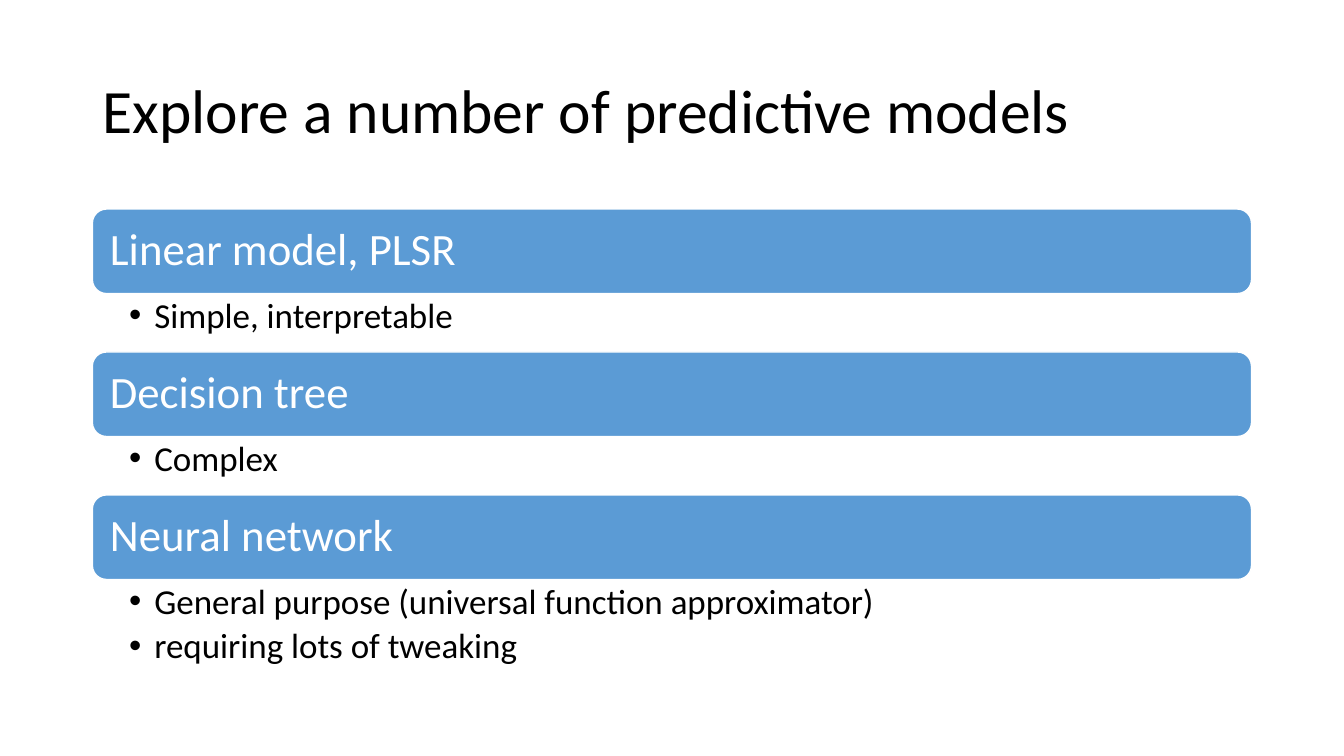
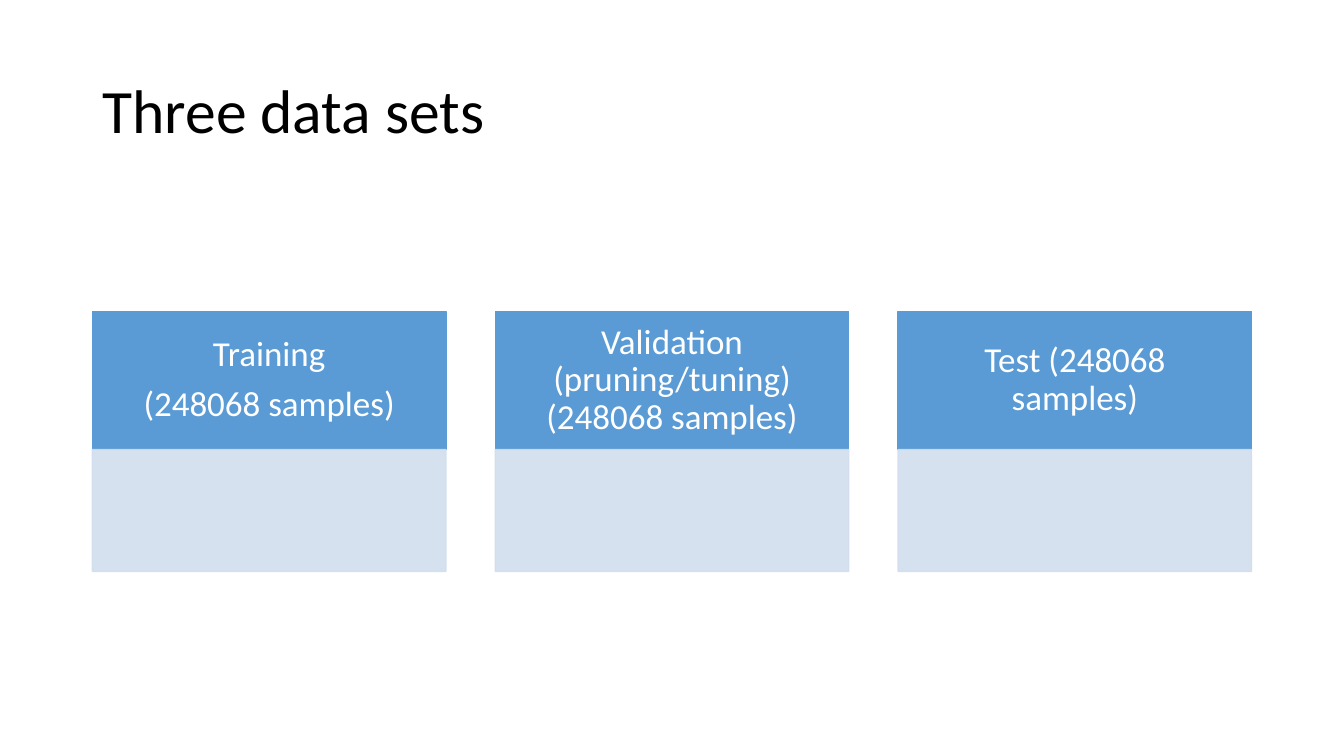
from pptx import Presentation
from pptx.dml.color import RGBColor
from pptx.enum.shapes import MSO_SHAPE
from pptx.enum.text import MSO_ANCHOR, MSO_AUTO_SIZE, PP_ALIGN
from pptx.oxml.ns import qn
from pptx.util import Pt
from lxml import etree

RECT, ROUND = MSO_SHAPE.RECTANGLE, MSO_SHAPE.ROUNDED_RECTANGLE
TOP, MIDDLE = MSO_ANCHOR.TOP, MSO_ANCHOR.MIDDLE
LEFT, CENTER = PP_ALIGN.LEFT, PP_ALIGN.CENTER
NO_FIT = MSO_AUTO_SIZE.NONE

# Content
MODELS_TITLE = "Explore a number of predictive models"
MODELS = [
    ("Linear model, PLSR", ["Simple, interpretable"]),
    ("Decision tree", ["Complex"]),
    ("Neural network", ["General purpose (universal function approximator)",
                        "requiring lots of tweaking"]),
]
SETS_TITLE = "Three data sets"
DATA_SETS = [
    ["Training", "(248068 samples)"],
    ["Validation (pruning/tuning) (248068 samples)"],
    ["Test (248068 samples)"],
]

# Shared style, lengths in points
FONT = "Calibri"
BLACK, WHITE, BLUE, PALE = "000000", "FFFFFF", "5B9BD5", "D2DEEF"
MARGIN, CONTENT_WIDTH = 66, 828
TITLE_TOP, TITLE_HEIGHT = 28.75, 104.4

# Model list
BAR_TOP, BAR_HEIGHT, BAR_PITCH = 149.3, 60.4, 102.1
NOTE_HEIGHT = BAR_PITCH - BAR_HEIGHT
NOTE_LINE = 26
BULLET_INDENT = 18

# Data set columns
COLUMN_WIDTH, COLUMN_TOP = 252.5, 222.5
HEAD_HEIGHT, BODY_HEIGHT = 98.6, 87
COLUMN_PITCH = (CONTENT_WIDTH - COLUMN_WIDTH) / (len(DATA_SETS) - 1)


def rgb(value):
    return RGBColor.from_string(value)


def write(frame, lines, size, color, align=LEFT, anchor=MIDDLE, insets=None, after=0):
    """Fill a text frame, one paragraph for each line."""
    frame.word_wrap = True
    frame.auto_size = NO_FIT
    frame.vertical_anchor = anchor
    if insets:
        side, edge = insets
        frame.margin_left = frame.margin_right = Pt(side)
        frame.margin_top = frame.margin_bottom = Pt(edge)
    frame.text = "\n".join(lines)
    for para in frame.paragraphs:
        para.alignment = align
        para.line_spacing = 0.9
        para.space_before = Pt(0)
        para.space_after = Pt(after)
        para.font.name = FONT
        para.font.size = Pt(size)
        para.font.color.rgb = rgb(color)


def add_bullets(frame):
    for para in frame.paragraphs:
        props = para._p.get_or_add_pPr()
        props.set("marL", str(Pt(BULLET_INDENT)))
        props.set("indent", str(-Pt(BULLET_INDENT)))
        etree.SubElement(props, qn("a:buFont")).set("typeface", "Arial")
        etree.SubElement(props, qn("a:buChar")).set("char", "•")


def add_box(page, kind, left, top, width, height, fill, line, opacity=100):
    box = page.shapes.add_shape(kind, Pt(left), Pt(top), Pt(width), Pt(height))
    box.shadow.inherit = False
    box.fill.solid()
    box.fill.fore_color.rgb = rgb(fill)
    box.line.color.rgb = rgb(line)
    box.line.width = Pt(1)
    if opacity < 100:
        for color in box._element.spPr.iter(qn("a:srgbClr")):
            etree.SubElement(color, qn("a:alpha")).set("val", str(opacity * 1000))
    return box


def add_page(deck, title):
    page = deck.slides.add_slide(deck.slide_layouts[5])
    head = page.shapes.title
    head.left, head.top = Pt(MARGIN), Pt(TITLE_TOP)
    head.width, head.height = Pt(CONTENT_WIDTH), Pt(TITLE_HEIGHT)
    write(head.text_frame, [title], 44, BLACK)
    return page


def build_models(deck):
    page = add_page(deck, MODELS_TITLE)
    for index, (name, notes) in enumerate(MODELS):
        top = BAR_TOP + index * BAR_PITCH
        bar = add_box(page, ROUND, MARGIN, top, CONTENT_WIDTH, BAR_HEIGHT, BLUE, WHITE)
        write(bar.text_frame, [name], 32, WHITE, insets=(9.6, 9.6))
        # Notes below the bar
        height = NOTE_HEIGHT + (len(notes) - 1) * NOTE_LINE
        box = page.shapes.add_textbox(Pt(MARGIN), Pt(top + BAR_HEIGHT),
                                      Pt(CONTENT_WIDTH), Pt(height))
        write(box.text_frame, notes, 25, BLACK, anchor=TOP, insets=(26.3, 3.2), after=5)
        add_bullets(box.text_frame)


def build_data_sets(deck):
    page = add_page(deck, SETS_TITLE)
    for index, lines in enumerate(DATA_SETS):
        left = MARGIN + index * COLUMN_PITCH
        head = add_box(page, RECT, left, COLUMN_TOP, COLUMN_WIDTH, HEAD_HEIGHT, BLUE, BLUE)
        write(head.text_frame, lines, 25, WHITE, align=CENTER, insets=(14, 8), after=8.75)
        add_box(page, RECT, left, COLUMN_TOP + HEAD_HEIGHT, COLUMN_WIDTH, BODY_HEIGHT,
                PALE, PALE, opacity=90)


def main():
    deck = Presentation()
    deck.slide_width, deck.slide_height = Pt(960), Pt(540)
    build_models(deck)
    build_data_sets(deck)
    deck.save("out.pptx")


if __name__ == "__main__":
    main()
